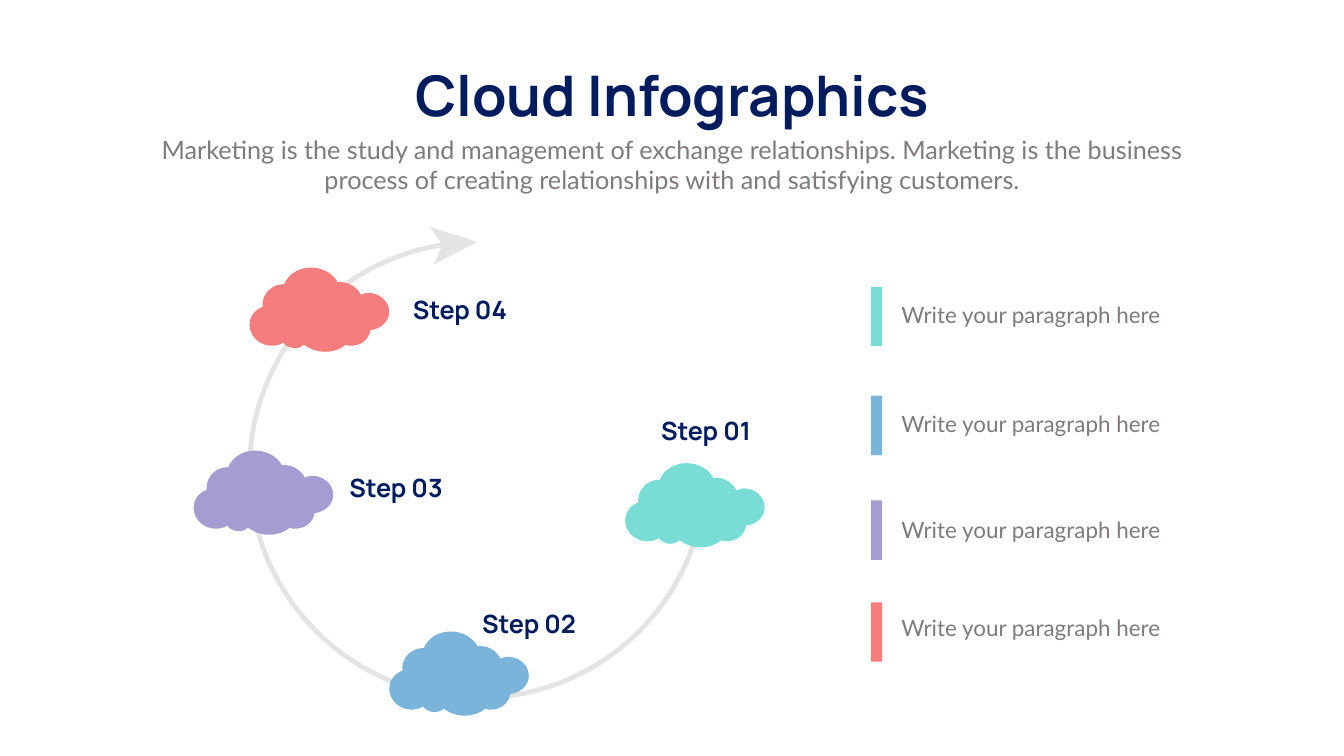
from lxml.etree import SubElement
from pptx import Presentation
from pptx.dml.color import RGBColor
from pptx.enum.shapes import MSO_SHAPE as Preset
from pptx.enum.text import MSO_ANCHOR as Anchor, MSO_AUTO_SIZE as AutoSize, PP_ALIGN as Align
from pptx.oxml.ns import qn
from pptx.util import Inches, Pt

NAVY = RGBColor(0x00, 0x1C, 0x5E)
GRAY = RGBColor(0x7F, 0x7A, 0x7E)
SILVER = RGBColor(0xE5, 0xE4, 0xE5)
TEAL = RGBColor(0x7A, 0xDD, 0xD5)
BLUE = RGBColor(0x7B, 0xB4, 0xDA)
PURPLE = RGBColor(0xA4, 0x9D, 0xD2)
CORAL = RGBColor(0xF5, 0x7D, 0x7D)

# Outlines: a start point, then segments of one point (line) or three (cubic curve)
CLOUD = [
    [(2.77, 0.88)],
    [(2.77, 0.67), (2.58, 0.5), (2.35, 0.5)],
    [(2.3, 0.5), (2.26, 0.52), (2.21, 0.54)],
    [(2.14, 0.4), (1.98, 0.29), (1.82, 0.29)],
    [(1.8, 0.29), (1.77, 0.29), (1.75, 0.29)],
    [(1.66, 0.12), (1.45, 0), (1.22, 0)],
    [(0.97, 0), (0.76, 0.14), (0.69, 0.33)],
    [(0.67, 0.33)],
    [(0.44, 0.33), (0.26, 0.52), (0.26, 0.73)],
    [(0.26, 0.75), (0.26, 0.75), (0.26, 0.78)],
    [(0.09, 0.84), (0, 0.99), (0, 1.13)],
    [(0, 1.37), (0.21, 1.55), (0.44, 1.55)],
    [(0.53, 1.55), (0.6, 1.53), (0.67, 1.49)],
    [(0.71, 1.55), (0.81, 1.6), (0.9, 1.6)],
    [(0.97, 1.6), (1.04, 1.58), (1.08, 1.53)],
    [(1.2, 1.62), (1.34, 1.67), (1.5, 1.67)],
    [(1.66, 1.67), (1.8, 1.62), (1.91, 1.53)],
    [(1.94, 1.55), (1.98, 1.55), (2.01, 1.55)],
    [(2.21, 1.55), (2.37, 1.43), (2.4, 1.24)],
    [(2.6, 1.22), (2.77, 1.07), (2.77, 0.88)],
]
TRACK = [
    [(14, 9.33)],
    [(14, 11.83), (11.98, 13.85), (9.47, 13.85)],
    [(6.98, 13.85), (4.95, 11.83), (4.95, 9.33)],
    [(4.95, 7.06), (6.63, 5.17), (8.83, 4.85)],
]
ARROWHEAD = [[(9.47, 4.8)], [(8.6, 5.25)], [(8.78, 4.86)], [(8.53, 4.5)]]


def write(frame, text, font="Lato", size=36, color=GRAY, bold=False, align=Align.LEFT):
    """Fill a text frame with one formatted paragraph."""
    frame.word_wrap = True
    frame.auto_size = AutoSize.NONE
    frame.vertical_anchor = Anchor.MIDDLE
    paragraph = frame.paragraphs[0]
    paragraph.alignment = align
    run = paragraph.add_run()
    run.text = text
    run.font.name, run.font.size, run.font.bold = font, Pt(size), bold
    run.font.color.rgb = color


class Infographic:
    heading = dict(font="Manrope", color=NAVY, bold=True)

    def __init__(self, width, height):
        self.deck = Presentation()
        self.deck.slide_width, self.deck.slide_height = Inches(width), Inches(height)
        self.slide = self.deck.slides.add_slide(self.deck.slide_layouts[5])
        self.shapes = self.slide.shapes

    def title(self, text, left, top, width, height):
        title = self.shapes.title
        title.left, title.top = Inches(left), Inches(top)
        title.width, title.height = Inches(width), Inches(height)
        write(title.text_frame, text, size=80, align=Align.CENTER, **self.heading)

    def text(self, text, left, top, width, height, **style):
        box = self.shapes.add_textbox(*map(Inches, (left, top, width, height)))
        write(box.text_frame, text, **style)

    def paint(self, shape, color):
        shape.shadow.inherit = False
        shape.fill.solid()
        shape.fill.fore_color.rgb = color
        shape.line.fill.background()

    def bar(self, left, top, width, height, color):
        bar = self.shapes.add_shape(Preset.RECTANGLE, *map(Inches, (left, top, width, height)))
        self.paint(bar, color)

    def outline(self, segments, left=0, top=0, close=True):
        placed = [[(Inches(left + x), Inches(top + y)) for x, y in segment]
                  for segment in segments]
        ends = [segment[-1] for segment in placed]
        builder = self.shapes.build_freeform(*ends[0])
        builder.add_line_segments(ends[1:], close=close)
        shape = builder.convert_to_shape()
        # Bend the straight segments that have control points
        lines = list(shape.element.iter(qn("a:lnTo")))
        for line, segment in zip(lines, placed[1:]):
            if len(segment) == 3:
                line.tag = qn("a:cubicBezTo")
                line.remove(line[0])
                for x, y in segment:
                    SubElement(line, qn("a:pt"), x=str(x - shape.left), y=str(y - shape.top))
        return shape

    def solid(self, segments, color, left=0, top=0):
        self.paint(self.outline(segments, left, top), color)

    def stroke(self, segments, color, weight):
        stroke = self.outline(segments, close=False)
        stroke.shadow.inherit = False
        stroke.fill.background()
        stroke.line.color.rgb, stroke.line.width = color, Pt(weight)


page = Infographic(26.66, 15)

# Heading
page.title("Cloud Infographics", 7.72, 1.14, 11.23, 1.45)
page.text("Marketing is the study and management of exchange relationships. "
          "Marketing is the business process of creating relationships with "
          "and satisfying customers.", 2.92, 2.61, 20.82, 1.31, align=Align.CENTER)

# Circular track with its arrowhead
page.stroke(TRACK, SILVER, 6.89)
page.solid(ARROWHEAD, SILVER)

# Steps: colour, cloud corner, label box and alignment, legend bar and text tops
steps = [
    (TEAL, (12.4, 9.19), (11.99, 8.18, 4.03), Align.CENTER, 5.69, 5.92),
    (BLUE, (7.72, 12.53), (9.11, 12.02, 2.77), Align.CENTER, 7.85, 8.08),
    (PURPLE, (3.84, 8.94), (6.83, 9.32, 3.53), Align.LEFT, 9.93, 10.19),
    (CORAL, (4.95, 5.31), (8.09, 5.79, 3.53), Align.LEFT, 11.95, 12.13),
]
for number, (color, corner, label, align, bar_top, legend_top) in enumerate(steps, 1):
    page.solid(CLOUD, color, *corner)
    page.text(f"Step {number:02}", *label, 0.71, align=align, **page.heading)
    page.bar(17.28, bar_top, 0.22, 1.18, color)
    page.text("Write your paragraph here", 17.78, legend_top, 5.39, 0.64, size=32)

page.deck.save("out.pptx")
